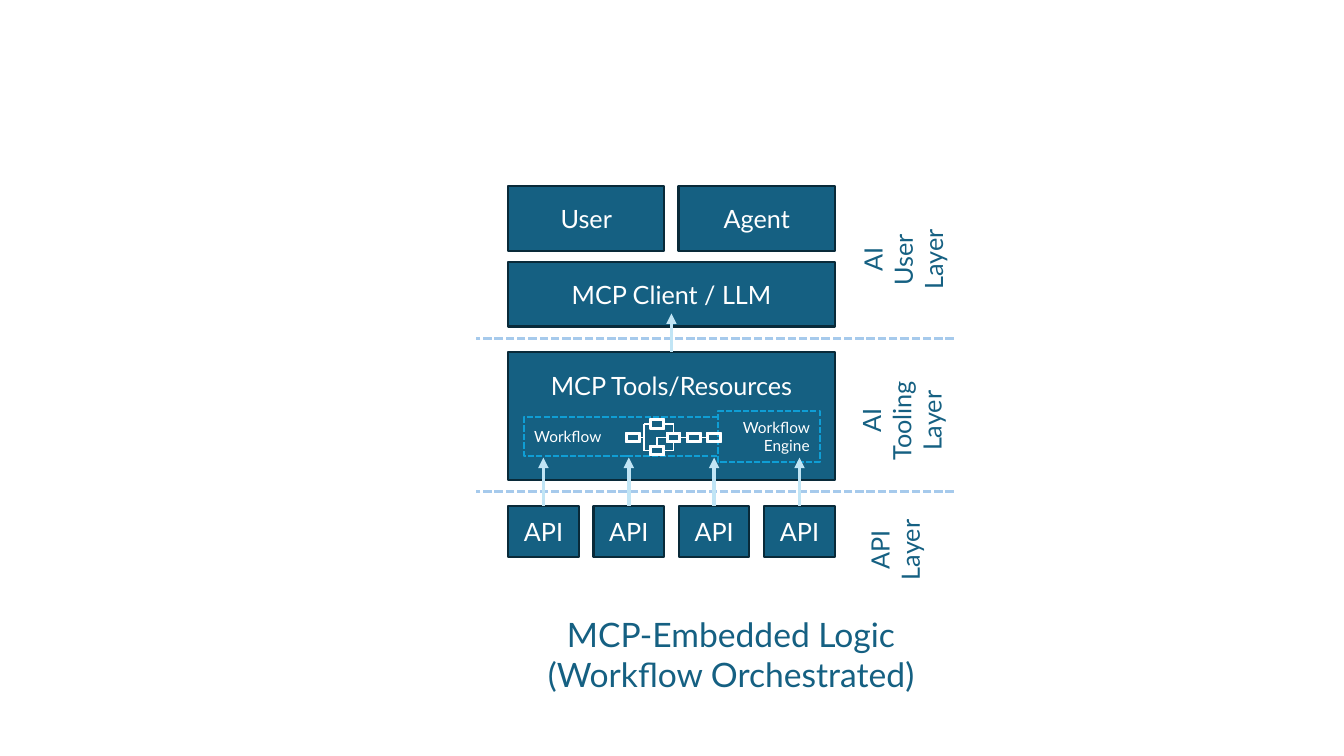
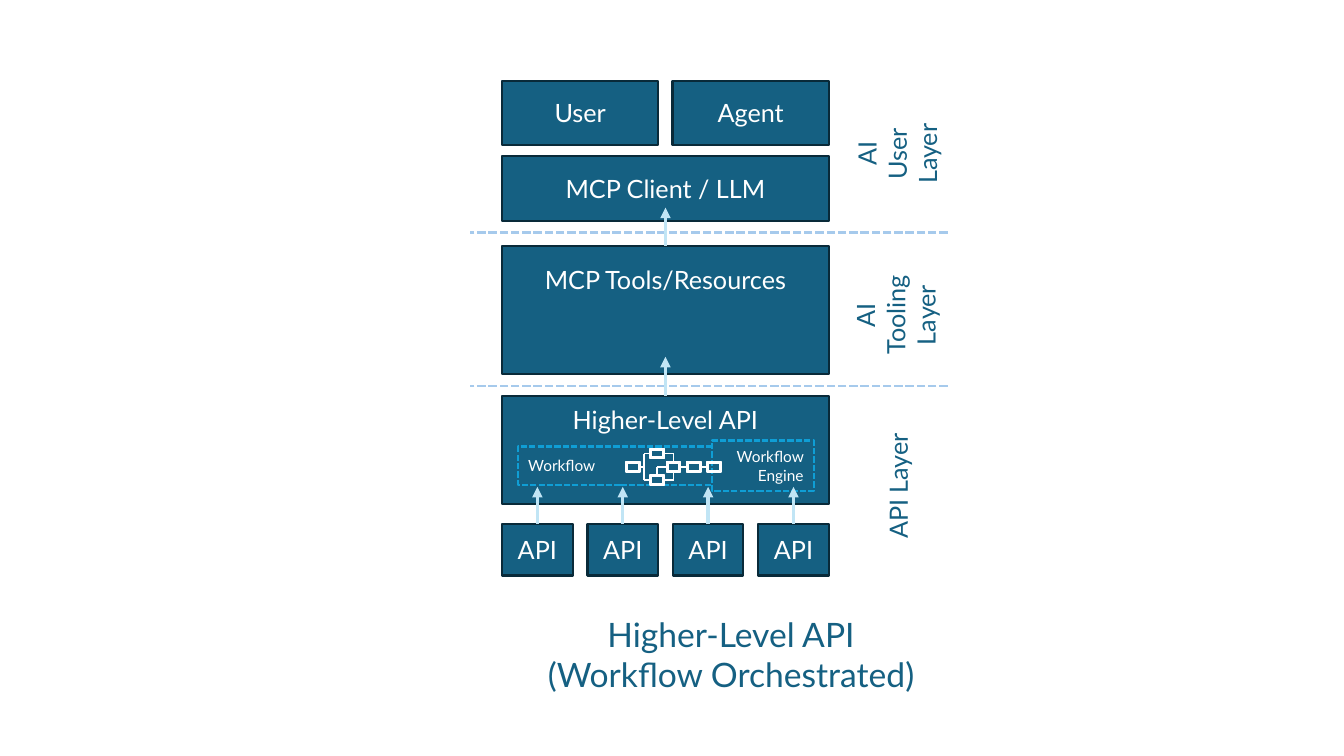
"""Build two slides that compare where workflow logic sits in an MCP stack."""
from pptx import Presentation
from pptx.dml.color import RGBColor
from pptx.enum.dml import MSO_LINE_DASH_STYLE as Dash
from pptx.enum.shapes import MSO_CONNECTOR as Connector, MSO_SHAPE as Shape
from pptx.enum.text import MSO_ANCHOR as Anchor, MSO_AUTO_SIZE as AutoSize, PP_ALIGN as Align
from pptx.oxml.ns import qn
from pptx.util import Inches, Pt
from lxml.etree import SubElement

COLOURS = {
    "teal": "156082", "edge": "092A39", "workflow": "0F9ED5", "divider": "A6CAEC",
    "arrow": "C1E5F5", "white": "FFFFFF", "node": "F2F2F2",
}
LINES = {
    "box": {"colour": "edge", "width": 1.5},
    "workflow": {"colour": "workflow", "width": 1.5, "dash": Dash.SQUARE_DOT},
    "divider": {"colour": "divider", "width": 2, "dash": Dash.SQUARE_DOT},
    "arrow": {"colour": "arrow", "width": 2.5, "head": "triangle"},
    "icon": {"colour": "white", "width": 1.25},
}
STACK_WIDTH = 3.24
API_COUNT, API_WIDTH = 4, 0.7
HEADING_BLOCK = 0.9
TOP, LEFT, BOTTOM, RIGHT = range(4)
NODE_SIZE = (0.14, 0.1)
NODES = {
    "start": (0, 0.13), "upper": (0.24, 0), "lower": (0.24, 0.26),
    "merge": (0.4, 0.13), "check": (0.6, 0.13), "finish": (0.8, 0.13),
}
LINKS = [
    (("start", RIGHT), (0.18, 0.18)),
    ((0.18, 0.31), (0.18, 0.05)),
    ((0.18, 0.31), ("lower", LEFT)),
    ((0.18, 0.05), ("upper", LEFT)),
    (("upper", RIGHT), (0.47, 0.05)),
    ((0.47, 0.05), ("merge", TOP)),
    (("lower", RIGHT), (0.47, 0.31)),
    ((0.47, 0.31), ("merge", BOTTOM)),
    (("lower", TOP), (0.31, 0.18)),
    ((0.31, 0.18), ("merge", LEFT)),
    (("merge", RIGHT), ("check", LEFT)),
    (("check", RIGHT), ("finish", LEFT)),
]


def colour(name):
    """Return the named colour."""
    return RGBColor.from_string(COLOURS[name])


def set_all(target, values):
    """Set each attribute of the target from the dict."""
    for name, value in values.items():
        setattr(target, name, value)


def style_line(line, kind):
    """Give a line its colour, width and dash."""
    style = LINES[kind]
    line.color.rgb = colour(style["colour"])
    line.width = Pt(style["width"])
    if "dash" in style:
        line.dash_style = style["dash"]


def write(shape, text, size=18, ink="white", align=Align.CENTER, **frame_format):
    """Write text into a shape, one paragraph a line."""
    frame = shape.text_frame
    frame.text = text
    set_all(frame, {"auto_size": AutoSize.NONE, "word_wrap": True, **frame_format})
    for para in frame.paragraphs:
        para.alignment = align
        for span in para.runs:
            set_all(span.font, {"name": "Lato", "size": Pt(size)})
            span.font.color.rgb = colour(ink)


def add_block(shapes, place, line="box", fill="teal", preset=Shape.RECTANGLE):
    """Add a filled and outlined shape."""
    block = shapes.add_shape(preset, *map(Inches, place))
    block.shadow.inherit = False
    block.fill.solid()
    block.fill.fore_color.rgb = colour(fill)
    style_line(block.line, line)
    return block


def add_box(page, place, text, line="box", **text_format):
    """Add a rectangle with text and return it."""
    box = add_block(page.shapes, place, line)
    write(box, text, **text_format)
    return box


def add_headed_box(page, place, text):
    """Add a rectangle whose heading leaves room below it."""
    margin = Inches((place[3] - HEADING_BLOCK) / 2)
    return add_box(page, place, text, vertical_anchor=Anchor.TOP, margin_top=margin)


def add_line(shapes, begin, end, kind):
    """Add a line between two ends, each a point or a (shape, side) pair."""
    joined = [hasattr(spot[0], "shape_id") for spot in (begin, end)]
    points = [(0, 0) if join else spot for join, spot in zip(joined, (begin, end))]
    line = shapes.add_connector(Connector.STRAIGHT, *(Inches(n) for spot in points for n in spot))
    if joined[0]:
        line.begin_connect(*begin)
    if joined[1]:
        line.end_connect(*end)
    style_line(line.line, kind)
    if "head" in LINES[kind]:
        SubElement(line.get_or_add_ln(), qn("a:tailEnd"), type=LINES[kind]["head"])
    SubElement(line._element.spPr, qn("a:effectLst"))


def add_arrow_up(page, box, tip):
    """Add an arrow from the top of a box up to the tip height."""
    middle = (box.left + box.width / 2) / Inches(1)
    add_line(page.shapes, (box, TOP), (middle, tip), "arrow")


def add_layer_label(page, place, text):
    """Add a layer name that reads upwards."""
    label = page.shapes.add_textbox(*map(Inches, place))
    label.rotation = 270
    write(label, text, ink="teal", word_wrap=False)


def add_caption(page, text):
    """Move the title below the diagram and fill it."""
    title = page.shapes.title
    places = zip(("left", "top", "width", "height"), map(Inches, (4.98, 6.04, 4.54, 0.91)))
    set_all(title, dict(places))
    write(title, text, size=24, ink="teal", vertical_anchor=Anchor.TOP)


def add_user_and_tooling(page, left, top):
    """Add the two upper layers with their dividers and labels."""
    for offset in (1.51, 3.03):
        add_line(page.shapes, (left + 4.42, top + offset), (left - 0.32, top + offset), "divider")
    for offset, text in ((0, "User"), (1.69, "Agent")):
        add_box(page, (left + offset, top, 1.55, 0.64), text)
    add_box(page, (left, top + 0.75, STACK_WIDTH, 0.64), "MCP Client / LLM")
    tools = add_headed_box(page, (left, top + 1.64, STACK_WIDTH, 1.27), "MCP Tools/Resources")
    add_arrow_up(page, tools, top + 1.26)
    add_layer_label(page, (left + 3.47, top + 0.22, 0.9, 1.01), "AI\nUser\nLayer")
    add_layer_label(page, (left + 3.32, top + 1.82, 1.17, 1.01), "AI\nTooling\nLayer")


def add_flow_icon(page, left, top):
    """Add the small flow chart as one group."""
    shapes = page.shapes.add_group_shape().shapes
    nodes = {
        name: add_block(shapes, (left + x, top + y, *NODE_SIZE), "icon", "node", Shape.FRAME)
        for name, (x, y) in NODES.items()
    }
    for link in LINKS:
        begin, end = (
            (nodes[a], b) if a in nodes else (left + a, top + b) for a, b in link
        )
        add_line(shapes, begin, end, "icon")


def add_workflow(page, left, top, api_top):
    """Add the workflow, its engine and the APIs that feed it."""
    add_box(page, (left + 0.16, top, 2.03, 0.38), "Workflow", "workflow", size=11, align=Align.LEFT)
    add_box(page, (left + 2.08, top - 0.06, 1.01, 0.5), "Workflow Engine", "workflow",
            size=11, align=Align.RIGHT)
    pitch = (STACK_WIDTH - API_WIDTH) / (API_COUNT - 1)
    for index in range(API_COUNT):
        api = add_box(page, (left + index * pitch, api_top, API_WIDTH, 0.51), "API")
        add_arrow_up(page, api, top + 0.4)
    add_flow_icon(page, 6.21, top + 0.02)


def build_embedded_logic(page):
    """Build the slide with the workflow inside the MCP tools."""
    left = 5.04
    add_user_and_tooling(page, left, 1.85)
    add_layer_label(page, (8.43, 5.1, 0.9, 0.71), "API\nLayer")
    add_workflow(page, left, 4.14, 5.02)
    add_caption(page, "MCP-Embedded Logic\n(Workflow Orchestrated)")


def build_higher_level_api(page):
    """Build the slide with the workflow inside a higher-level API."""
    left = 4.98
    add_user_and_tooling(page, left, 0.8)
    add_layer_label(page, (8.2, 4.62, 1.41, 0.4), "API Layer")
    higher = add_headed_box(page, (left, 3.93, STACK_WIDTH, 1.07), "Higher-Level API")
    add_arrow_up(page, higher, 3.54)
    add_workflow(page, left, 4.43, 5.2)
    add_caption(page, "Higher-Level API\n(Workflow Orchestrated)")


def main():
    """Build the deck and save it."""
    deck = Presentation()
    set_all(deck, {"slide_width": Inches(13.33), "slide_height": Inches(7.5)})
    title_only = deck.slide_layouts.get_by_name("Title Only")
    for build in (build_embedded_logic, build_higher_level_api):
        build(deck.slides.add_slide(title_only))
    deck.save("out.pptx")


if __name__ == "__main__":
    main()
